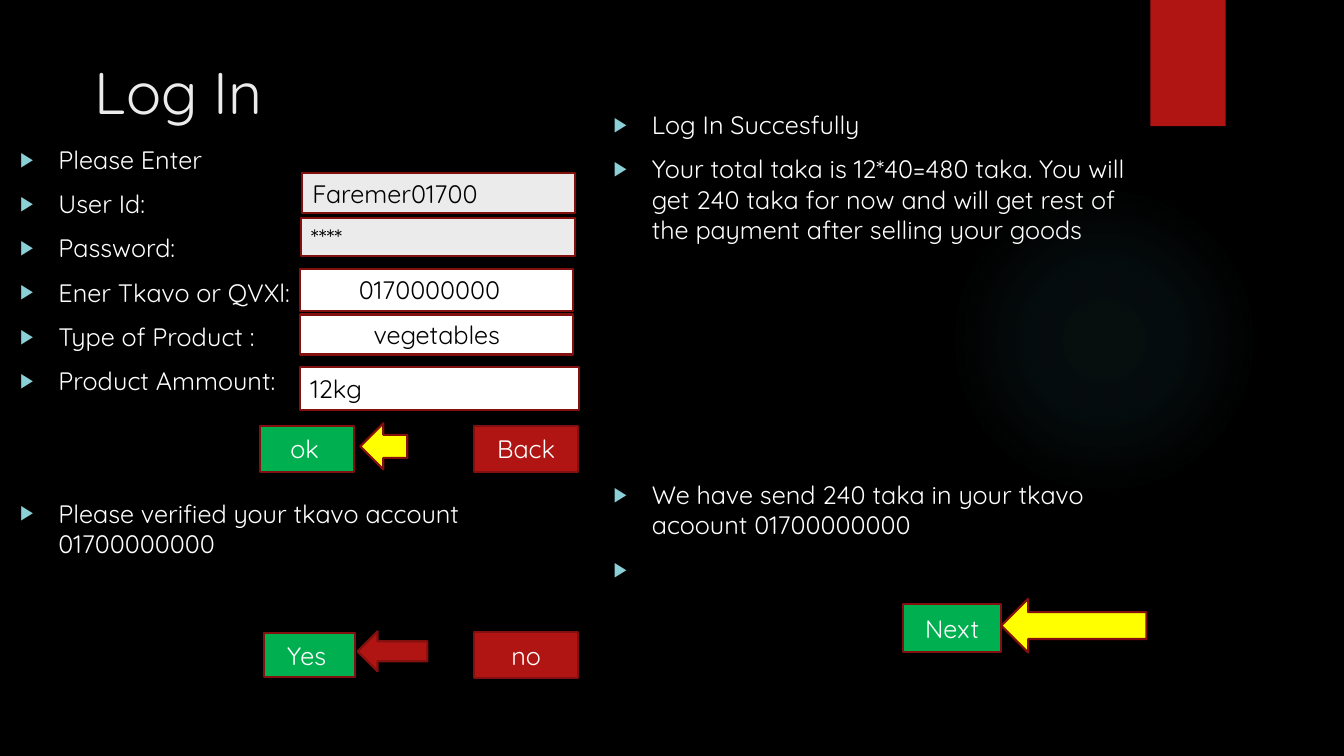
import pptx
import pptx.dml.color
import pptx.enum.shapes
import pptx.enum.text
import pptx.oxml
import pptx.oxml.ns
import pptx.util

RGBColor = pptx.dml.color.RGBColor
Shape = pptx.enum.shapes.MSO_SHAPE
Align = pptx.enum.text.PP_ALIGN
Anchor = pptx.enum.text.MSO_ANCHOR

BLACK = RGBColor(0x00, 0x00, 0x00)
WHITE = RGBColor(0xFF, 0xFF, 0xFF)
PALE = RGBColor(0xEB, 0xEB, 0xEB)
RED = RGBColor(0xB0, 0x15, 0x13)
DARK_RED = RGBColor(0x82, 0x10, 0x0E)
GREEN = RGBColor(0x00, 0xB0, 0x50)
YELLOW = RGBColor(0xFF, 0xFF, 0x00)
TEAL = RGBColor(0x50, 0xB9, 0xC1)
BULLET = RGBColor(0x8A, 0xD0, 0xD6)

FONT = "Quicksand"
NAMESPACE = pptx.oxml.ns.nsdecls("a")


def write(para, text, size=18, color=WHITE, align=Align.LEFT, before=0):
    """Put one formatted span of text into a paragraph."""
    para.alignment = align
    para.space_before = pptx.util.Pt(before)
    span = para.add_run()
    span.text = text
    span.font.name = FONT
    span.font.size = pptx.util.Pt(size)
    span.font.color.rgb = color


class FormSlide:
    """A slide on a grid of 100 columns by 100 rows."""

    def __init__(self, deck):
        self.column = deck.slide_width / 100
        self.row = deck.slide_height / 100
        self.slide = deck.slides.add_slide(deck.slide_layouts.get_by_name("Two Content"))
        self.slide.background.fill.solid()
        self.slide.background.fill.fore_color.rgb = BLACK

    def area(self, left, top, width, height):
        return (round(left * self.column), round(top * self.row),
                round(width * self.column), round(height * self.row))

    def placeholder(self, index, grid):
        holder = self.slide.placeholders[index]
        holder.left, holder.top, holder.width, holder.height = self.area(*grid)
        frame = holder.text_frame
        frame.word_wrap = True
        frame.auto_size = pptx.enum.text.MSO_AUTO_SIZE.NONE
        frame.vertical_anchor = Anchor.TOP
        return frame

    def title(self, text, grid):
        write(self.placeholder(0, grid).paragraphs[0], text, size=42, color=PALE)

    def bullets(self, index, grid, items):
        """Items are pairs of text and space before, in points."""
        frame = self.placeholder(index, grid)
        for number, (text, before) in enumerate(items):
            para = frame.add_paragraph() if number else frame.paragraphs[0]
            props = para._p.get_or_add_pPr()
            props.set("marL", str(pptx.util.Inches(0.38)))
            props.set("indent", str(-pptx.util.Inches(0.38)))
            for markup in (f'<a:buClr {NAMESPACE}><a:srgbClr val="{BULLET}"/></a:buClr>',
                           f'<a:buSzPct {NAMESPACE} val="80000"/>',
                           f'<a:buFont {NAMESPACE} typeface="Arial"/>',
                           f'<a:buChar {NAMESPACE} char="▶"/>'):
                props.append(pptx.oxml.parse_xml(markup))
            write(para, text, before=before)

    def shape(self, kind, grid, fill, line=DARK_RED):
        shape = self.slide.shapes.add_shape(kind, *self.area(*grid))
        shape.shadow.inherit = False
        shape.fill.solid()
        shape.fill.fore_color.rgb = fill
        if line is None:
            shape.line.fill.background()
        else:
            shape.line.color.rgb = line
            shape.line.width = pptx.util.Pt(1.5)
        return shape

    def box(self, text, grid, fill, color=WHITE, align=Align.CENTER, inset=0.1):
        """A field or a button; inset is the left margin in inches."""
        frame = self.shape(Shape.RECTANGLE, grid, fill).text_frame
        frame.word_wrap = True
        frame.vertical_anchor = Anchor.MIDDLE
        frame.margin_left = pptx.util.Inches(inset)
        write(frame.paragraphs[0], text, color=color, align=align)

    def arrow(self, grid, fill):
        self.shape(Shape.LEFT_ARROW, grid, fill)

    def decoration(self, kind, grid, fill):
        """A plain shape behind everything else."""
        shape = self.shape(kind, grid, fill, line=None)
        self.slide.shapes._spTree.insert(2, shape._element)
        return shape

    def glow(self, grid, color, stops):
        """A round glow; stops are pairs of position and opacity in percent."""
        shape = self.decoration(Shape.OVAL, grid, color)
        marks = "".join(
            f'<a:gs pos="{place * 1000}"><a:srgbClr val="{color}">'
            f'<a:alpha val="{opacity * 1000}"/></a:srgbClr></a:gs>'
            for place, opacity in stops)
        gradient = pptx.oxml.parse_xml(
            f'<a:gradFill {NAMESPACE}><a:gsLst>{marks}</a:gsLst><a:path path="circle">'
            '<a:fillToRect l="50000" t="50000" r="50000" b="50000"/></a:path></a:gradFill>')
        props = shape._element.spPr
        props.replace(props.find(pptx.oxml.ns.qn("a:solidFill")), gradient)


def main():
    deck = pptx.Presentation()
    deck.slide_width = pptx.util.Inches(13.33)
    deck.slide_height = pptx.util.Inches(7.5)
    page = FormSlide(deck)

    # Backdrop
    page.decoration(Shape.RECTANGLE, (85.6, 0, 5.6, 16.7), RED)
    page.glow((70.6, 24.4, 23.1, 41.1), TEAL, [(0, 7), (36, 6), (69, 0)])

    # Title and lists
    page.title("Log In", (6.3, 6.7, 76.1, 11.7))
    page.bullets(1, (0.75, 18.4, 44.3, 81.6), [
        ("Please Enter", 0),
        ("User Id:", 10),
        ("Password:", 10),
        ("Ener Tkavo or QVXl:", 10),
        ("Type of Product :", 10),
        ("Product Ammount:", 10),
        ("Please verified your tkavo account 01700000000", 73),
    ])
    page.bullets(2, (44.9, 13.8, 39.7, 78.8), [
        ("Log In Succesfully", 0),
        ("Your total taka is 12*40=480 taka. You will get 240 taka for now "
         "and will get rest of the payment after selling your goods", 10),
        ("We have send 240 taka in your tkavo acoount 01700000000", 168),
        (" ", 10),
    ])

    # Form fields
    for text, grid, fill, align, inset in [
        ("Faremer01700", (22.5, 22.9, 20.3, 5.3), PALE, Align.LEFT, 0.1),
        ("****", (22.4, 28.8, 20.4, 5.1), PALE, Align.LEFT, 0.1),
        ("0170000000", (22.35, 35.6, 20.3, 5.5), WHITE, Align.LEFT, 0.58),
        ("vegetables", (22.35, 41.6, 20.3, 5.3), WHITE, Align.CENTER, 0.1),
        ("12kg", (22.35, 48.5, 20.7, 5.7), WHITE, Align.LEFT, 0.1),
    ]:
        page.box(text, grid, fill, color=BLACK, align=align, inset=inset)

    # Buttons
    page.box("ok", (19.35, 56.3, 7, 6.1), GREEN, align=Align.LEFT, inset=0.3)
    page.box("Back", (35.3, 56.3, 7.7, 6.1), RED)
    page.box("Yes", (19.65, 83.7, 6.8, 5.9), GREEN, align=Align.LEFT, inset=0.23)
    page.box("no", (35.3, 83.6, 7.7, 6.1), RED)
    page.box("Next", (67.2, 79.9, 7.3, 6.4), GREEN)

    # Arrows to the pressed buttons
    page.arrow((26.8, 56, 3.5, 6.1), YELLOW)
    page.arrow((26.6, 83.5, 5.2, 5.3), RED)
    page.arrow((74.5, 79.2, 10.8, 7.1), YELLOW)

    deck.save("out.pptx")


if __name__ == "__main__":
    main()
